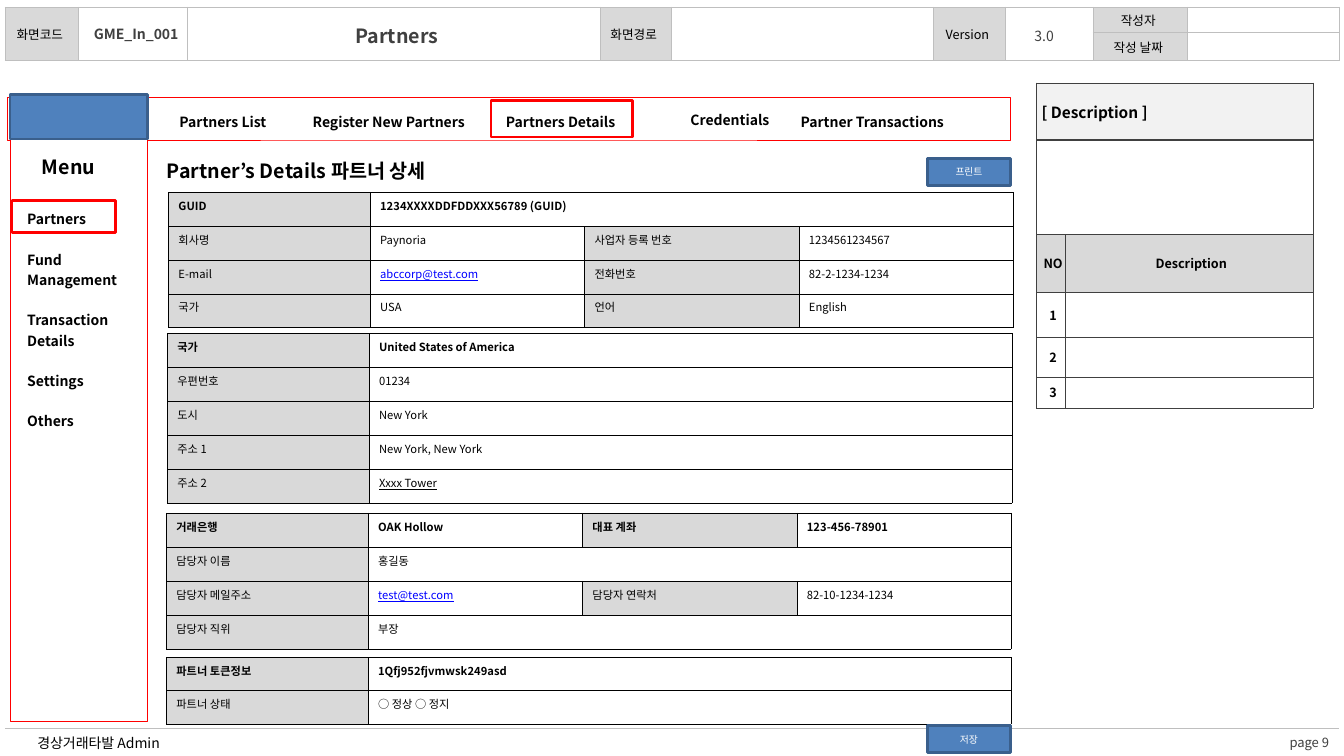
import lxml.etree
import pptx
import pptx.dml.color
import pptx.enum.shapes
import pptx.enum.text
import pptx.oxml.ns
import pptx.util

Inches = pptx.util.Inches
Pt = pptx.util.Pt
ALIGN = pptx.enum.text.PP_ALIGN
ANCHOR = pptx.enum.text.MSO_ANCHOR
FONT = "Noto Sans CJK KR"
NO_STYLE = "{2D5ABB26-0587-4C30-8999-92F81FD0307C}"
BLACK, DARK, GRAY, WHITE = "000000", "404040", "D9D9D9", "FFFFFF"
RED, BLUE, NAVY, LINK = "FF0000", "4F81BD", "3A5F8C", "0000FF"
CELL_INSETS = (0.1, 0.05, 0.1, 0.05)


def rgb(color):
    """Turn a hex string into a colour."""
    return pptx.dml.color.RGBColor.from_string(color)


def add_xml(parent, tag, **attributes):
    """Append a DrawingML element."""
    return lxml.etree.SubElement(parent, pptx.oxml.ns.qn(tag), **attributes)


def write(frame, text, size, color=BLACK, bold=False, align=ALIGN.LEFT, underline=False,
          gap=0):
    """Fill a text frame with one formatted paragraph per line of text."""
    for index, line in enumerate(text.split("\n")):
        paragraph = frame.add_paragraph() if index else frame.paragraphs[0]
        paragraph.text = line
        paragraph.alignment = align
        if index:
            paragraph.space_before = Pt(gap)
        font = paragraph.font
        font.name, font.size, font.bold, font.underline = FONT, Pt(size), bold, underline
        font.color.rgb = rgb(color)
        add_xml(paragraph._p.pPr.find(pptx.oxml.ns.qn("a:defRPr")), "a:ea", typeface=FONT)
        if not line:
            add_xml(paragraph._p, "a:endParaRPr", sz=str(int(size * 100)))


def set_insets(holder, insets):
    """Set the left, top, right and bottom margins of a cell or text frame."""
    (holder.margin_left, holder.margin_top,
     holder.margin_right, holder.margin_bottom) = map(Inches, insets)


def add_label(slide, box, text, size, insets=CELL_INSETS, anchor=ANCHOR.TOP, **style):
    """Add a text box."""
    frame = slide.shapes.add_textbox(*map(Inches, box)).text_frame
    frame.word_wrap = True
    frame.vertical_anchor = anchor
    set_insets(frame, insets)
    write(frame, text, size, **style)


def add_box(slide, box, line, width, fill=None, text=""):
    """Add a rectangle, hollow when no fill is given."""
    rect = slide.shapes.add_shape(pptx.enum.shapes.MSO_SHAPE.RECTANGLE, *map(Inches, box))
    rect.shadow.inherit = False
    rect.line.color.rgb = rgb(line)
    rect.line.width = Pt(width)
    if fill:
        rect.fill.solid()
        rect.fill.fore_color.rgb = rgb(fill)
    else:
        rect.fill.background()
    if text:
        rect.text_frame.vertical_anchor = ANCHOR.MIDDLE
        write(rect.text_frame, text, 7, WHITE, align=ALIGN.CENTER)


def add_grid(slide, left, top, widths, heights):
    """Add an unstyled table and return it."""
    frame = slide.shapes.add_table(len(heights), len(widths), Inches(left), Inches(top),
                                   Inches(sum(widths)), Inches(sum(heights)))
    grid = frame.table
    grid.first_row = grid.horz_banding = False
    grid._tbl.tblPr.find(pptx.oxml.ns.qn("a:tableStyleId")).text = NO_STYLE
    for column, width in zip(grid.columns, widths):
        column.width = Inches(width)
    for row, height in zip(grid.rows, heights):
        row.height = Inches(height)
    return grid


def fill_cell(cell, text, size, fill=None, insets=CELL_INSETS, anchor=ANCHOR.TOP,
              border=None, sides="LRTB", heavy="", **style):
    """Write, border and fill one cell."""
    set_insets(cell, insets)
    cell.vertical_anchor = anchor
    write(cell.text_frame, text, size, **style)
    for side in sides if border else "":
        width = 1 if side in heavy else 0.25
        line = add_xml(cell._tc.get_or_add_tcPr(), "a:ln" + side, w=str(int(Pt(width))))
        add_xml(add_xml(line, "a:solidFill"), "a:srgbClr", val=border)
    if fill:
        cell.fill.solid()
        cell.fill.fore_color.rgb = rgb(fill)
    else:
        cell.fill.background()


def build_page_frame(slide, left, top):
    """Place the document header, page outline and footer."""
    widths = (0.73, 1.08, 4.09, 0.71, 2.6, 0.71, 0.87, 0.94, 1.5)
    labels = {(0, 0): "화면코드", (0, 3): "화면경로", (0, 5): "Version",
              (0, 7): "작성자", (1, 7): "작성 날짜"}
    grid = add_grid(slide, left, top, widths, (0.25, 0.28, 6.62))
    for row in range(3):
        for column in range(len(widths)):
            shaded = row < 2 and column in (0, 3, 5, 7)
            fill_cell(grid.cell(row, column), labels.get((row, column), ""), 9,
                      GRAY if shaded else None, (0.01, 0.01, 0.05, 0), ANCHOR.MIDDLE,
                      "BFBFBF", "LRTB" if row < 2 else "TB", align=ALIGN.CENTER)
    for column in range(7):
        grid.cell(0, column).merge(grid.cell(1, column))
    grid.cell(2, 0).merge(grid.cell(2, len(widths) - 1))
    values = ((0.73, 0.13, 1.24, 0.27, "GME_In_001", 10, True),
              (1.89, 0.12, 4.09, 0.34, "Partners", 14, True),
              (10, 0.15, 0.71, 0.27, "3.0", 10, False))
    for x, y, width, height, text, size, bold in values:
        add_label(slide, (left + x, top + y, width, height), text, size,
                  (0, 0.05, 0.1, 0.05), color=DARK, bold=bold, align=ALIGN.CENTER)
    add_label(slide, (left, 7.24, 12, 0.25), "경상거래타발 Admin", 10,
              (0.32, 0.05, 0.1, 0.05), ANCHOR.MIDDLE)
    add_label(slide, (12.69, 7.23, 0.59, 0.26), "page 9", 9.3, (0, 0.05, 0, 0.05),
              ANCHOR.MIDDLE, color=DARK, align=ALIGN.CENTER)


def build_description(slide, left, top):
    """Place the description panel."""
    rows = (("[ Description ]", ""), ("", ""), ("NO", "Description"),
            ("1", ""), ("2", ""), ("3", ""))
    fills = ("F2F2F2", WHITE, GRAY, None, None, None)
    heavy = ("B", "TB", "T", "", "", "")
    grid = add_grid(slide, left, top, (0.28, 2.46), (0.57, 0.94, 0.57, 0.45, 0.39, 0.31))
    for row, texts in enumerate(rows):
        for column, text in enumerate(texts):
            fill_cell(grid.cell(row, column), text, 9 if row else 11, fills[row],
                      (0.05, 0, 0, 0), ANCHOR.MIDDLE, DARK, heavy=heavy[row],
                      bold=True, align=ALIGN.CENTER if row else ALIGN.LEFT)
    for row in range(2):
        grid.cell(row, 0).merge(grid.cell(row, 1))


def build_details(slide, left, top, height, rows):
    """Place a table of label and value pairs; a short row spans the width."""
    pairs = max(map(len, rows))
    value_width = 6.38 / (pairs - 1)
    grid = add_grid(slide, left, top, [2] + [value_width] * (pairs - 1),
                    [height / len(rows)] * len(rows))
    for row, texts in enumerate(rows):
        for column in range(pairs):
            text = texts[column] if column < len(texts) else ""
            label = column % 2 == 0 and column < len(texts)
            fill_cell(grid.cell(row, column), text, 8, GRAY if label else WHITE,
                      border=BLACK, bold=row == 0, color=LINK if "@" in text else BLACK,
                      underline="@" in text or text == "Xxxx Tower")
        if len(texts) < pairs:
            grid.cell(row, 1).merge(grid.cell(row, pairs - 1))


def build_navigation(slide, left, top):
    """Place the top tabs with the current one outlined."""
    tabs = ("Partners List", "Register New Partners", "Partners Details",
            "Partner Transactions")
    grid = add_grid(slide, left + 1.45, top + 0.07, (1.38, 1.91, 1.5, 3.46), (0.35,))
    for column, tab in enumerate(tabs):
        last = column == len(tabs) - 1
        fill_cell(grid.cell(0, column), tab, 10, WHITE,
                  (0.1, 0.05, 0.41 if last else 0.1, 0.05), ANCHOR.MIDDLE, bold=True,
                  align=ALIGN.RIGHT if last else ALIGN.CENTER)
    add_box(slide, (left + 4.8, top + 0.04, 1.4, 0.36), RED, 2)
    add_label(slide, (left + 6.68, top + 0.1, 1.4, 0.27), "Credentials", 10, bold=True)


def build_menu(slide, left, top):
    """Place the side menu with the current entry outlined."""
    entries = ("Partners", "Fund Management", "Transaction Details", "Settings", "Others")
    add_box(slide, (left, top - 0.02, 1.36, 0.44), NAVY, 2, BLUE)
    add_label(slide, (left + 0.11, top + 0.53, 0.94, 0.34), "Menu", 14,
              bold=True, align=ALIGN.CENTER)
    grid = add_grid(slide, left + 0.07, top + 0.79, (1.12,), (0.27, 2.43))
    for row, text in enumerate(("", "\n".join(entries))):
        fill_cell(grid.cell(row, 0), text, 10, WHITE, bold=True, gap=14.5)
    add_box(slide, (left + 0.02, top + 1.03, 1.03, 0.32), RED, 2)


def build_title(slide, box):
    """Place the slide title."""
    title = slide.shapes.title
    title.left, title.top, title.width, title.height = map(Inches, box)
    frame = title.text_frame
    frame.word_wrap = False
    frame.vertical_anchor = ANCHOR.TOP
    set_insets(frame, CELL_INSETS)
    write(frame, "Partner’s Details 파트너 상세", 14, bold=True, align=ALIGN.CENTER)


def main():
    """Build the partner details screen."""
    deck = pptx.Presentation()
    deck.slide_width, deck.slide_height = Inches(13.33), Inches(7.5)
    slide = deck.slides.add_slide(deck.slide_layouts[5])
    build_page_frame(slide, 0.05, 0.07)
    build_description(slide, 10.28, 0.82)
    build_title(slide, (1.48, 1.53, 2.92, 0.34))
    add_box(slide, (0.07, 0.96, 9.95, 0.43), RED, 0.25, WHITE)
    add_box(slide, (0.1, 0.96, 1.36, 6.2), RED, 0.25, WHITE)
    build_details(slide, 1.67, 1.91, 1.34, (
        ("GUID", "1234XXXXDDFDDXXX56789 (GUID)"),
        ("회사명", "Paynoria", "사업자 등록 번호", "1234561234567"),
        ("E-mail", "abccorp@test.com", "전화번호", "82-2-1234-1234"),
        ("국가", "USA", "언어", "English")))
    build_details(slide, 1.66, 3.31, 1.68, (
        ("국가", "United States of America"), ("우편번호", "01234"), ("도시", "New York"),
        ("주소 1", "New York, New York"), ("주소 2", "Xxxx Tower")))
    build_details(slide, 1.65, 5.09, 1.35, (
        ("거래은행", "OAK Hollow", "대표 계좌", "123-456-78901"),
        ("담당자 이름", "홍길동"),
        ("담당자 메일주소", "test@test.com", "담당자 연락처", "82-10-1234-1234"),
        ("담당자 직위", "부장")))
    build_details(slide, 1.65, 6.52, 0.66, (
        ("파트너 토큰정보", "1Qfj952fjvmwsk249asd"), ("파트너 상태", "○ 정상 ○ 정지")))
    for top, action in ((1.57, "프린트"), (7.2, "저장")):
        add_box(slide, (9.2, top, 0.82, 0.27), NAVY, 2, BLUE, action)
    build_navigation(slide, 0.07, 0.96)
    build_menu(slide, 0.1, 0.96)
    deck.save("out.pptx")


if __name__ == "__main__":
    main()
